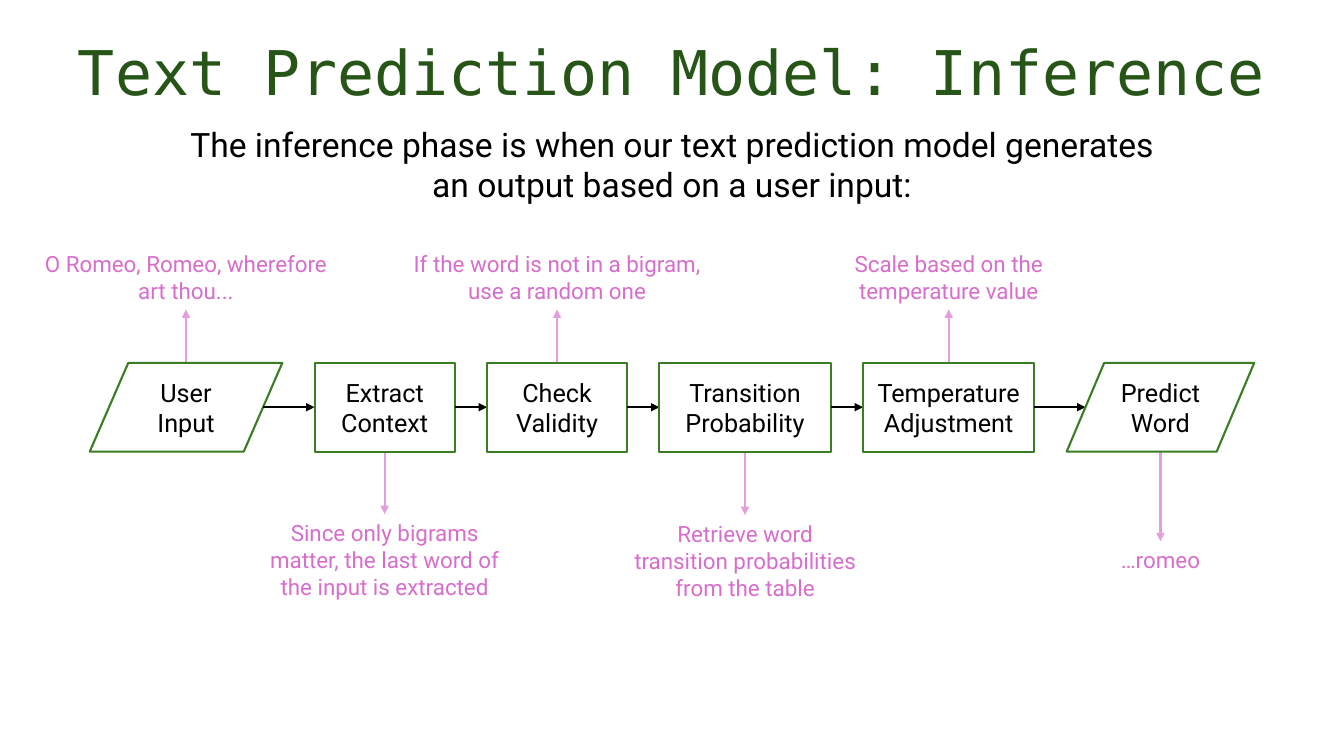
import copy

import pptx
import pptx.util
import pptx.dml.color
import pptx.enum.shapes
import pptx.enum.text
import pptx.oxml
import pptx.oxml.ns
from pptx.util import Inches

COLORS = {"title": "275417", "text": "000000", "border": "3B7D23",
          "note": "D86ECC", "note_arrow": "E59EDD"}
STEPS = [
    ("User Input", 1.91, True, "O Romeo, Romeo, wherefore art thou...", "up", 3.3, 0.53),
    ("Extract Context", 1.39, False,
     "Since only bigrams matter, the last word of the input is extracted", "down", 2.57, 0.62),
    ("Check Validity", 1.39, False,
     "If the word is not in a bigram, use a random one", "up", 3.3, 0.53),
    ("Transition Probability", 1.7, False,
     "Retrieve word transition probabilities from the table", "down", 2.5, 0.63),
    ("Temperature Adjustment", 1.7, False,
     "Scale based on the temperature value", "up", 3.3, 0.53),
    ("Predict Word", 1.86, True, "…romeo", "down", 1.56, 0.89),
]


def rgb(name):
    """Return the named colour."""
    return pptx.dml.color.RGBColor.from_string(COLORS[name])


def write(sp, text, size, color="text", font="Roboto", anchor="TOP", spacing=1.0):
    """Fill a shape with one centred, formatted paragraph."""
    tf = sp.text_frame
    tf.word_wrap = True
    tf.auto_size = pptx.enum.text.MSO_AUTO_SIZE.NONE
    tf.vertical_anchor = pptx.enum.text.MSO_ANCHOR[anchor]
    p = tf.paragraphs[0]
    p.text = text
    p.alignment = pptx.enum.text.PP_ALIGN.CENTER
    p.line_spacing = spacing
    p.space_before = pptx.util.Pt(0)
    for r in p.runs:
        r.font.name = font
        r.font.size = pptx.util.Pt(size)
        r.font.color.rgb = rgb(color)
    for br in p._p.findall(pptx.oxml.ns.qn("a:br")):
        br.append(copy.deepcopy(p.runs[0]._r.rPr))


def place(sp, x, y, w, h):
    """Move and size a shape, in inches."""
    sp.left, sp.top, sp.width, sp.height = (Inches(v) for v in (x, y, w, h))


def add_arrow(s, x1, y1, x2, y2, color):
    """Draw a straight arrow."""
    line = s.shapes.add_connector(pptx.enum.shapes.MSO_CONNECTOR.STRAIGHT,
                                  Inches(x1), Inches(y1), Inches(x2), Inches(y2))
    line.line.color.rgb = rgb(color)
    line.line.width = pptx.util.Pt(1.5)
    ln = line.line._get_or_add_ln()
    ns = pptx.oxml.ns.nsdecls("a")
    ln.append(pptx.oxml.parse_xml(f'<a:tailEnd {ns} type="triangle"/>'))
    ln.addnext(pptx.oxml.parse_xml(f"<a:effectLst {ns}/>"))


def add_heading(s, x, y, w):
    """Fill the title and the introduction below it."""
    title, body = s.shapes.title, s.placeholders[1]
    place(title, x, y, w, 0.88)
    write(title, "Text Prediction Model: Inference", 44, "title", "DejaVu Sans Mono", spacing=0.9)
    place(body, x + 0.55, y + 0.81, w - 1.1, 0.91)
    write(body, "The inference phase is when our text prediction model generates\v"
                "an output based on a user input:", 24)
    pPr = body.text_frame.paragraphs[0]._p.get_or_add_pPr()
    pPr.set("marL", "0")
    pPr.set("indent", "0")
    pPr.append(pptx.oxml.parse_xml(f'<a:buNone {pptx.oxml.ns.nsdecls("a")}/>'))


def add_step(s, label, slanted, x, y, w, h):
    """Draw one outlined step of the flow."""
    kinds = pptx.enum.shapes.MSO_SHAPE
    kind = kinds.FLOWCHART_DATA if slanted else kinds.FLOWCHART_PROCESS
    sp = s.shapes.add_shape(kind, Inches(x), Inches(y), Inches(w), Inches(h))
    sp.shadow.inherit = False
    sp.fill.background()
    sp.line.color.rgb = rgb("border")
    sp.line.width = pptx.util.Pt(1.5)
    write(sp, label, 18, anchor="MIDDLE")


def add_note(s, text, side, center, y, h, width, reach):
    """Draw a note above or below a step, with its arrow."""
    height = {1.56: 0.37, 3.3: 0.64}.get(width, 0.91)
    start, end = (y, y - reach) if side == "up" else (y + h, y + h + reach)
    top = end - height if side == "up" else end
    add_arrow(s, center, start, center, end, "note_arrow")
    tb = s.shapes.add_textbox(Inches(center - width / 2), Inches(top),
                              Inches(width), Inches(height))
    write(tb, text, 16, "note")


def add_flow(s, x, y, h, gap):
    """Draw the steps from left to right with arrows and notes."""
    previous_edge = None
    for label, w, slanted, note, side, note_w, reach in STEPS:
        slant = w / 10 if slanted else 0
        if previous_edge is not None:
            add_arrow(s, previous_edge, y + h / 2, x + slant, y + h / 2, "text")
        add_note(s, note, side, x + w / 2, y, h, note_w, reach)
        add_step(s, label, slanted, x, y, w, h)
        previous_edge = x + w - slant
        x += w + gap


def main():
    """Build and save the slide."""
    prs = pptx.Presentation()
    prs.slide_width, prs.slide_height = Inches(13.33), Inches(7.5)
    s = prs.slides.add_slide(prs.slide_layouts[1])
    add_heading(s, 0.53, 0.37, 12.27)
    add_flow(s, 0.89, 3.6, 0.88, 0.32)
    prs.save("out.pptx")


if __name__ == "__main__":
    main()
